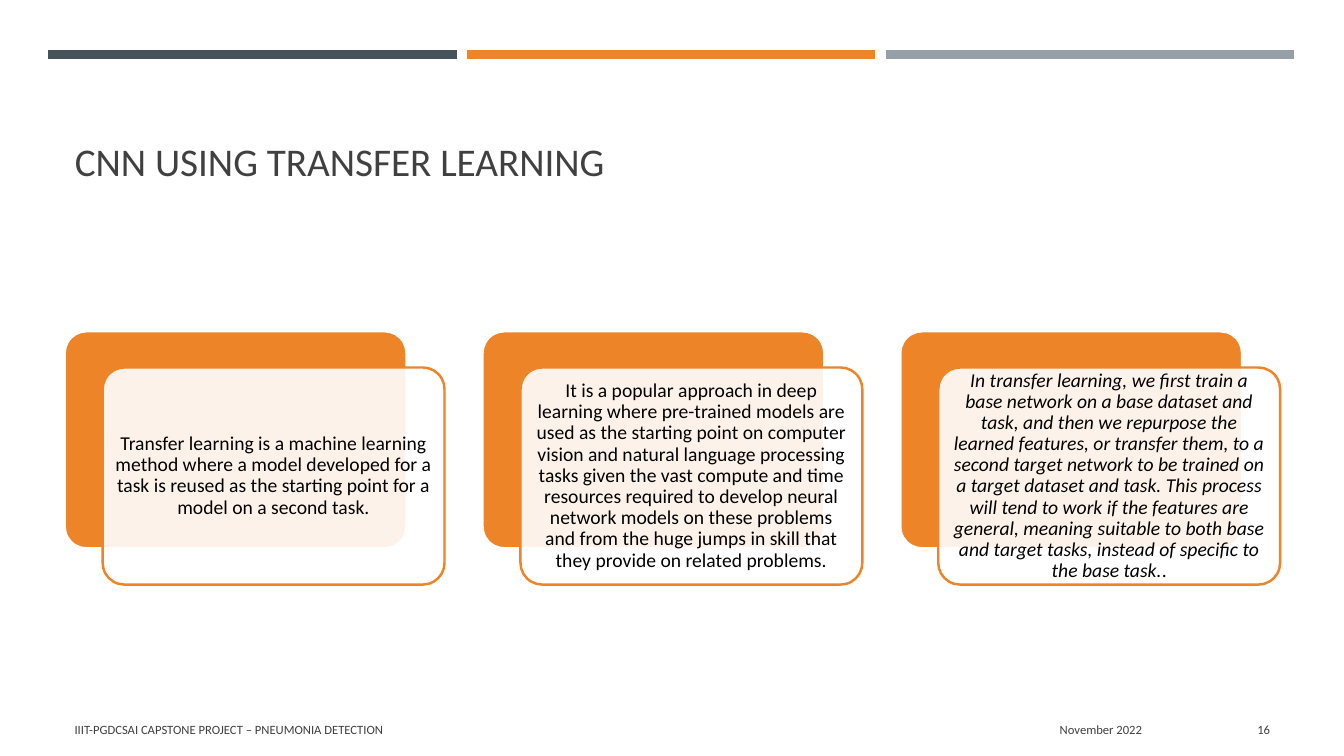
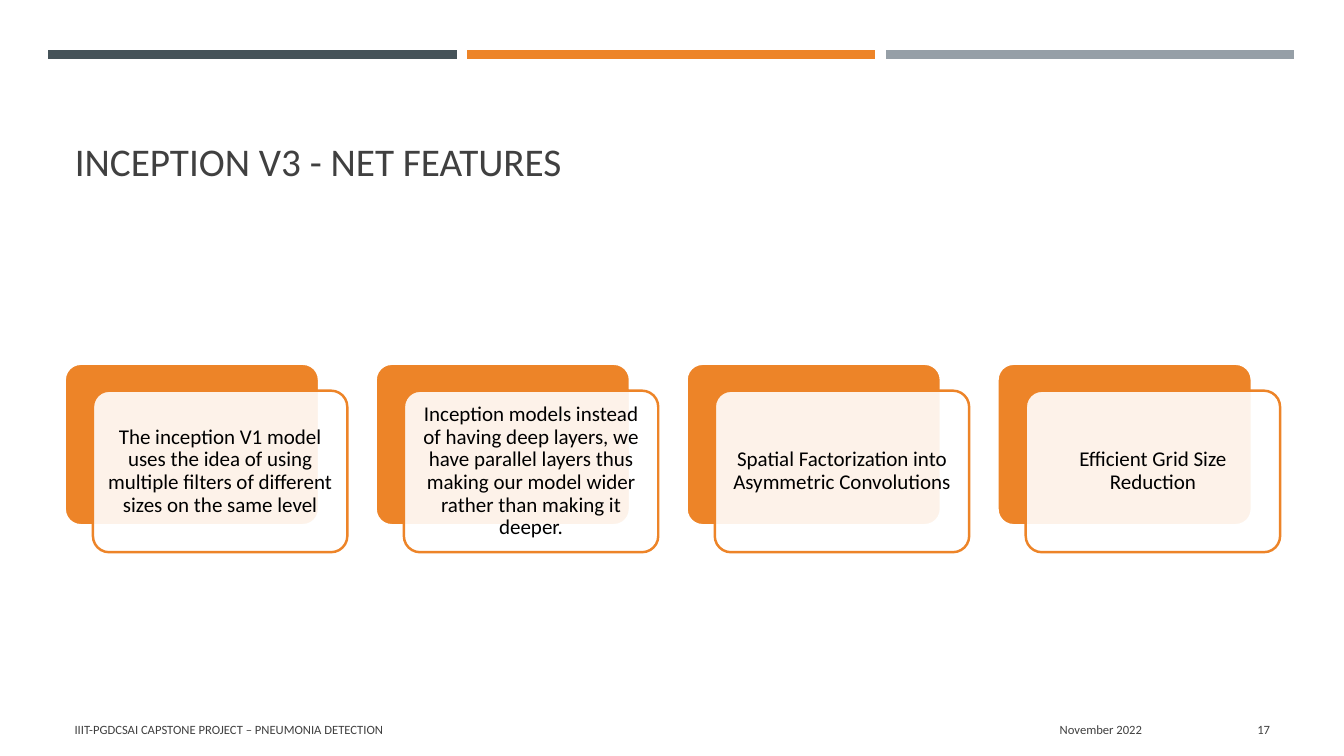
from lxml.etree import SubElement
from pptx import Presentation
from pptx.dml.color import RGBColor
from pptx.enum.shapes import MSO_CONNECTOR, MSO_SHAPE
from pptx.enum.text import MSO_ANCHOR, MSO_AUTO_SIZE, PP_ALIGN
from pptx.oxml.ns import qn
from pptx.util import Cm, Pt

COLORS = {
    "slate": "465359",
    "orange": "ED8428",
    "grey": "969FA7",
    "white": "FFFFFF",
    "text": "404040",
    "black": "000000",
}
FONT = "Calibri"
LEFT, WIDTH = 1.63, 30.63
CARDS_MIDDLE = 11.54
FOOTER_TOP, FOOTER_HEIGHT = 17.86, 1.02

SLIDES = [
    {
        "title": "CNN USING TRANSFER LEARNING",
        "number": "16",
        "size": 14,
        "cards": [
            [("Transfer learning is a machine learning method where a model developed "
              "for a task is reused as the starting point for a model on a second task.", False)],
            [("It is a popular approach in deep learning where pre-trained models are used "
              "as the starting point on computer vision and natural language processing "
              "tasks given the vast compute and time resources required to develop neural "
              "network models on these problems and from the huge jumps in skill that they "
              "provide on related problems.", False)],
            [("In transfer learning, we first train a base network on a base dataset and "
              "task, and then we repurpose the learned features, or transfer them, to a "
              "second target network to be trained on a target dataset and task. This "
              "process will tend to work if the features are general, meaning suitable to "
              "both base and target tasks, instead of specific to the base task.", True),
             (".", False)],
        ],
    },
    {
        "title": "INCEPTION V3 - NET FEATURES",
        "number": "17",
        "size": 15,
        "cards": [
            [("The inception V1 model uses the idea of using multiple filters of different "
              "sizes on the same level", False)],
            [("Inception models instead of having deep layers, we have parallel layers thus "
              "making our model wider rather than making it deeper.", False)],
            [("Spatial Factorization into Asymmetric Convolutions", False)],
            [("Efficient Grid Size Reduction", False)],
        ],
    },
]


def rgb(name):
    """Return the named palette colour."""
    return RGBColor.from_string(COLORS[name])


def write(sp, runs, size, color="text", align=PP_ALIGN.LEFT,
          anchor=MSO_ANCHOR.MIDDLE, spacing=1.0, margin=None):
    """Fill a shape with one paragraph of (text, italic) runs."""
    tf = sp.text_frame
    tf.word_wrap = True
    tf.auto_size = MSO_AUTO_SIZE.NONE
    tf.vertical_anchor = anchor
    if margin is not None:
        tf.margin_left = tf.margin_right = tf.margin_top = tf.margin_bottom = Cm(margin)
    p = tf.paragraphs[0]
    p.alignment, p.line_spacing = align, spacing
    for text, italic in runs:
        r = p.add_run()
        r.text = text
        r.font.name, r.font.size, r.font.italic = FONT, Pt(size), italic
        r.font.color.rgb = rgb(color)


def add_bands(slide, left, top, width, gap):
    """Draw the three coloured bands across the given width."""
    names = ("slate", "orange", "grey")
    band = (width - gap * (len(names) - 1)) / len(names)
    for i, name in enumerate(names):
        x = left + i * (band + gap)
        line = slide.shapes.add_connector(
            MSO_CONNECTOR.STRAIGHT, Cm(x), Cm(top), Cm(x + band), Cm(top))
        line.line.color.rgb = rgb(name)
        line.line.width = Pt(6.5)
        SubElement(line.element.spPr, qn("a:effectLst"))


def add_title(slide, text, left, top, width, height):
    """Place and format the title placeholder."""
    sp = slide.shapes.title
    sp.left, sp.top, sp.width, sp.height = Cm(left), Cm(top), Cm(width), Cm(height)
    write(sp, [(text, False)], 28, anchor=MSO_ANCHOR.BOTTOM)


def add_footer(slide, number, top, height):
    """Add the project name, date and slide number."""
    parts = [
        (LEFT, 19.2, "IIIT-PGDCSAI CAPSTONE PROJECT – PNEUMONIA DETECTION", PP_ALIGN.LEFT),
        (21.13, 7.9, "November 2022", PP_ALIGN.RIGHT),
        (29.34, 2.92, number, PP_ALIGN.RIGHT),
    ]
    for left, width, text, align in parts:
        sp = slide.shapes.add_textbox(Cm(left), Cm(top), Cm(width), Cm(height))
        write(sp, [(text, False)], 9, align=align)


def add_panel(slide, left, top, width, height, fill, line):
    """Add one rounded panel and return it."""
    sp = slide.shapes.add_shape(
        MSO_SHAPE.ROUNDED_RECTANGLE, Cm(left), Cm(top), Cm(width), Cm(height))
    sp.adjustments[0] = 0.1
    sp.shadow.inherit = False
    sp.fill.solid()
    sp.fill.fore_color.rgb = rgb(fill)
    sp.line.color.rgb = rgb(line)
    sp.line.width = Pt(1.75)
    return sp


def add_cards(slide, cards, size, left, middle, width):
    """Spread double-layered cards over the width, centred on the middle."""
    panel = width * 9 / (11 * len(cards) - 1)
    height = panel * 0.635
    dx, dy = panel / 9, panel * 0.106
    top = middle - (height + dy) / 2
    for i, runs in enumerate(cards):
        x = left + i * (panel + 2 * dx)
        add_panel(slide, x, top, panel, height, "orange", "white")
        front = add_panel(slide, x + dx, top + dy, panel, height, "white", "orange")
        color = front.element.spPr.find(qn("a:solidFill"))[0]
        SubElement(color, qn("a:alpha"), val="90000")
        write(front, runs, size, color="black", align=PP_ALIGN.CENTER,
              spacing=0.9, margin=0.15)


def build_slide(prs, content):
    """Add one slide with its title, cards and shared decoration."""
    slide = prs.slides.add_slide(prs.slide_layouts[5])
    add_bands(slide, 1.22, 1.37, 31.4, 0.27)
    add_title(slide, content["title"], LEFT, 2.03, WIDTH, 2.74)
    add_cards(slide, content["cards"], content["size"], LEFT, CARDS_MIDDLE, WIDTH)
    add_footer(slide, content["number"], FOOTER_TOP, FOOTER_HEIGHT)


def main():
    """Build and save the presentation."""
    prs = Presentation()
    prs.slide_width, prs.slide_height = Cm(33.87), Cm(19.05)
    for content in SLIDES:
        build_slide(prs, content)
    prs.save("out.pptx")


if __name__ == "__main__":
    main()
